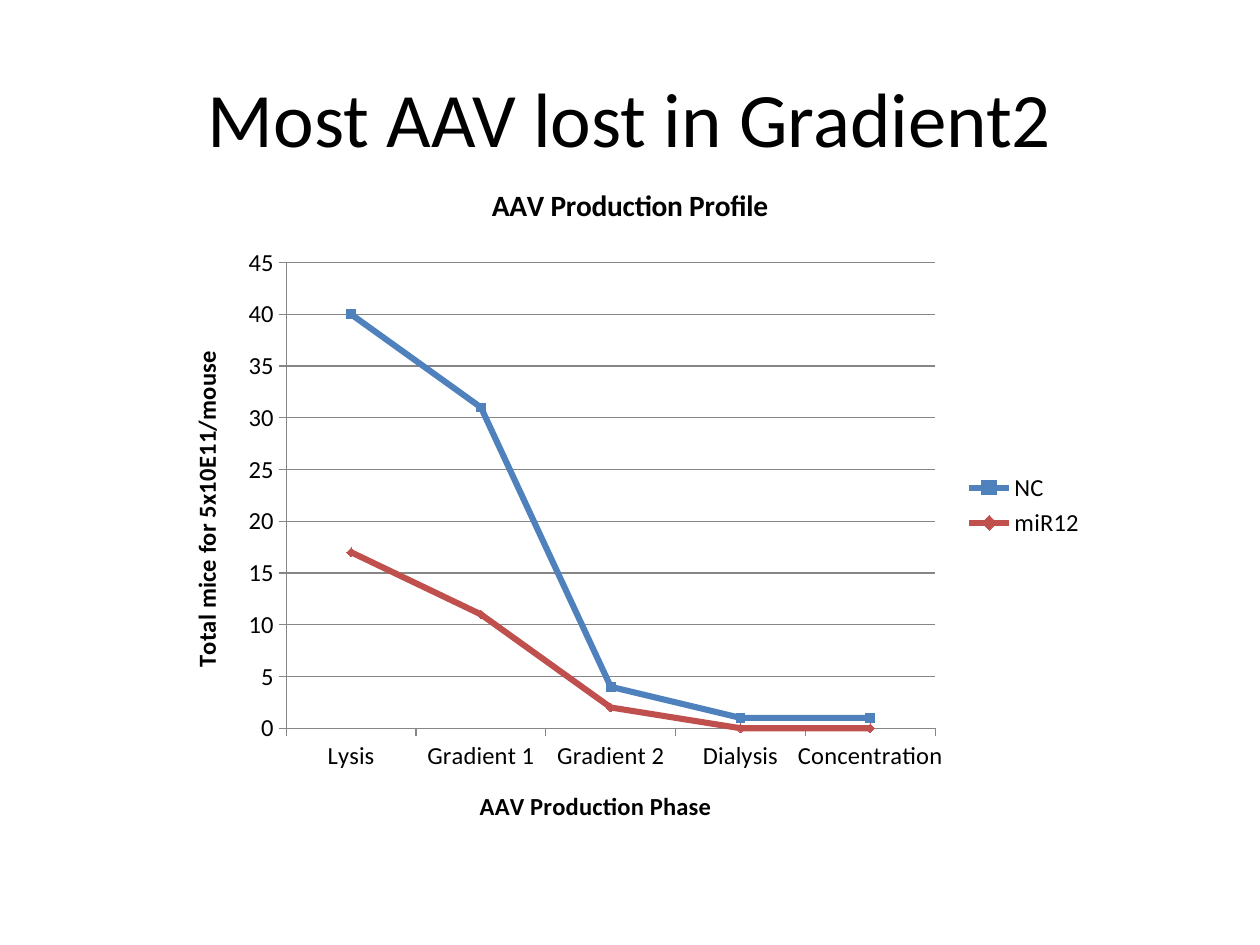
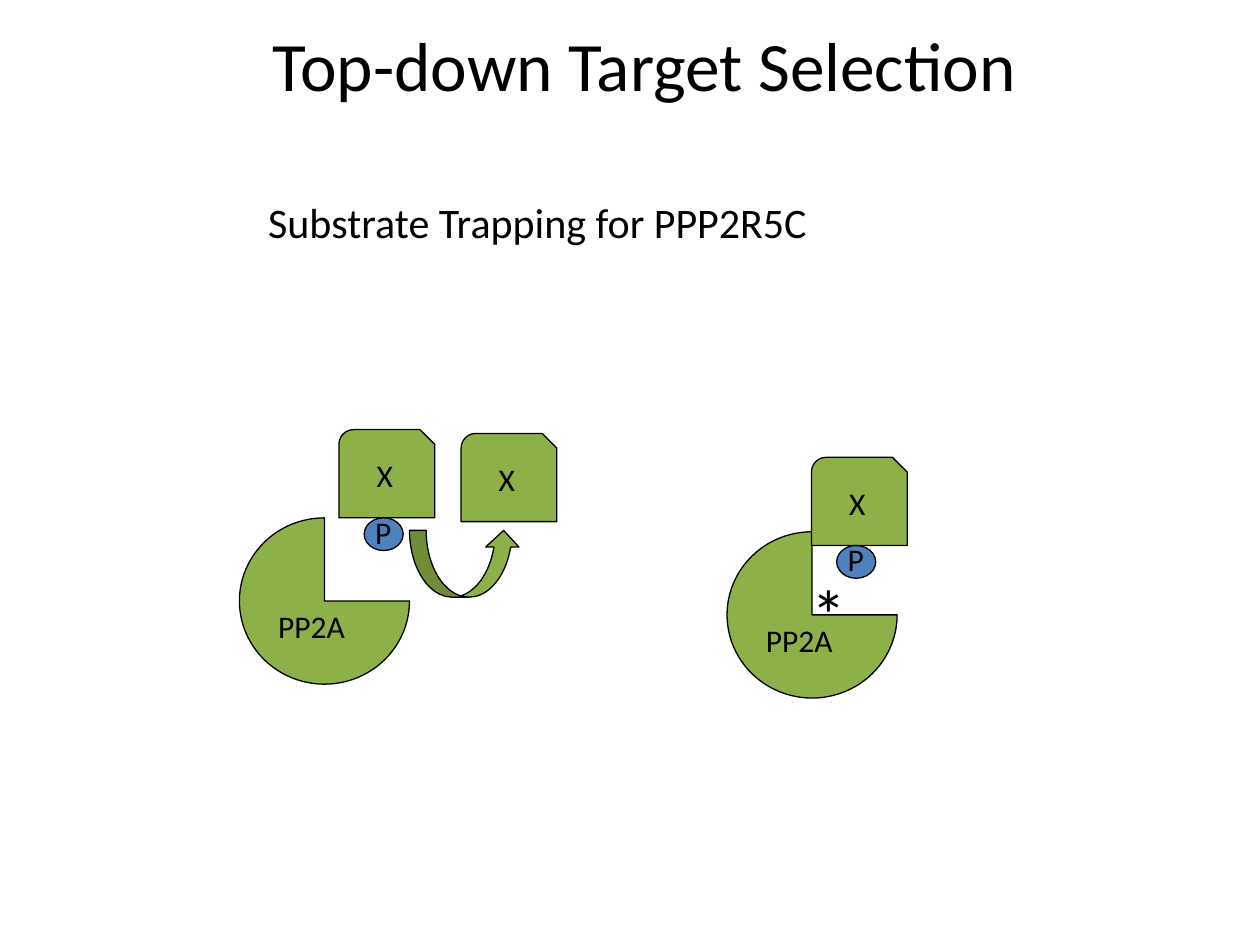
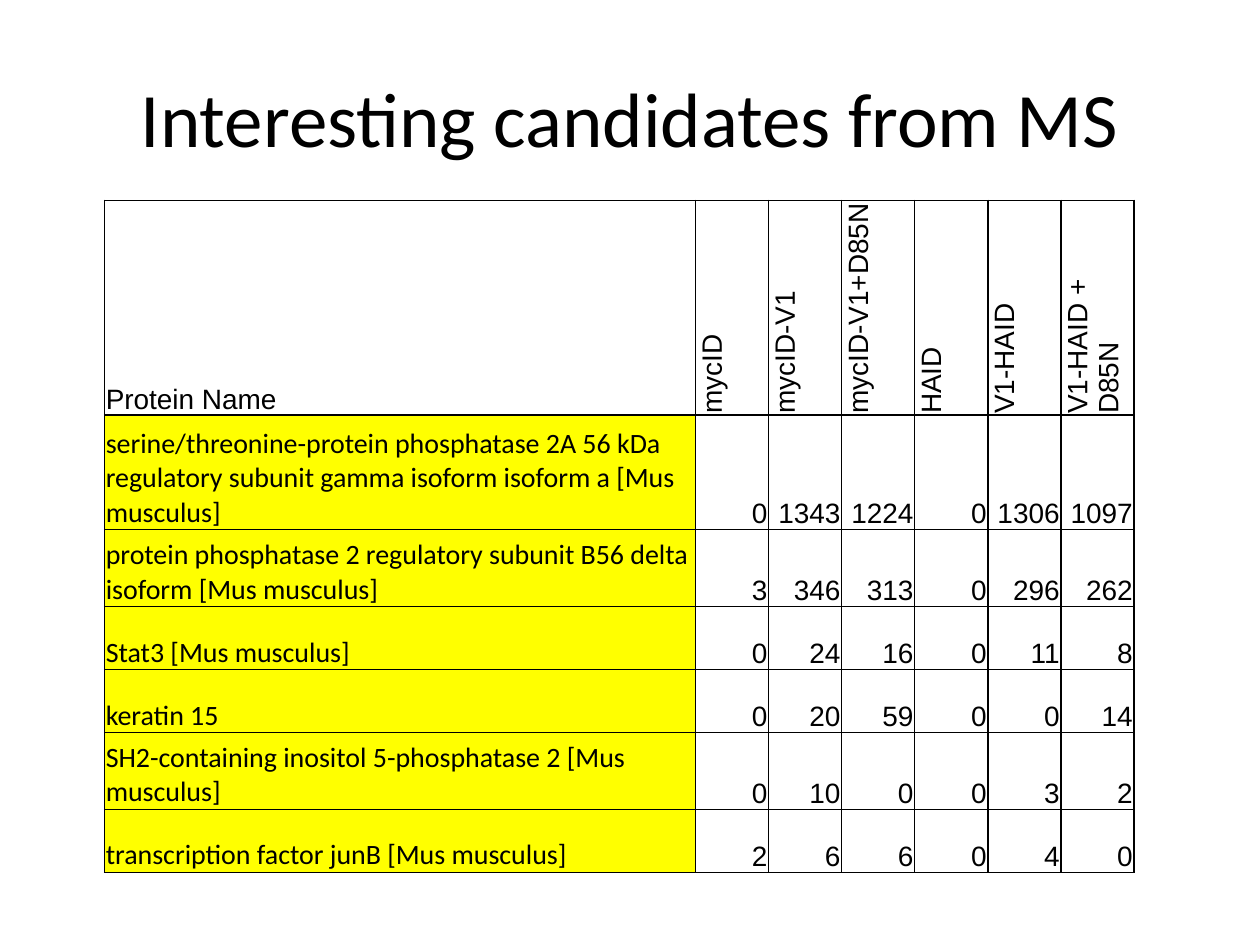
from dataclasses import dataclass

from lxml.etree import SubElement
from pptx import Presentation
from pptx.chart.data import CategoryChartData
from pptx.dml.color import RGBColor
from pptx.enum.chart import XL_CHART_TYPE as ChartType
from pptx.enum.chart import XL_LEGEND_POSITION as LegendPosition
from pptx.enum.chart import XL_MARKER_STYLE as Marker
from pptx.enum.chart import XL_TICK_MARK as Tick
from pptx.enum.shapes import MSO_SHAPE as Preset
from pptx.enum.text import MSO_ANCHOR as Anchor
from pptx.enum.text import MSO_AUTO_SIZE as AutoSize
from pptx.enum.text import PP_ALIGN as Align
from pptx.oxml.ns import qn
from pptx.util import Inches, Pt


@dataclass(frozen=True)
class Theme:
    # Fonts
    body_font: str = "Calibri"
    table_font: str = "Arial"
    # Colours
    ink: RGBColor = RGBColor(0x00, 0x00, 0x00)
    grid: RGBColor = RGBColor(0x86, 0x86, 0x86)
    blue: RGBColor = RGBColor(0x4F, 0x81, 0xBD)
    red: RGBColor = RGBColor(0xC0, 0x50, 0x4D)
    green: RGBColor = RGBColor(0x8E, 0xB0, 0x48)
    yellow: RGBColor = RGBColor(0xFF, 0xFF, 0x00)
    # Type sizes
    title: float = 44
    small_title: float = 39.6
    subtitle: float = 24
    label: float = 18
    star: float = 40
    cell: float = 16
    chart: float = 14
    chart_title: float = 16.8


THEME = Theme()
TITLE_ONLY = 5

PHASES = ["Lysis", "Gradient 1", "Gradient 2", "Dialysis", "Concentration"]
AAV_SERIES = [
    ("NC", [40, 31, 4, 1, 1], THEME.blue, Marker.SQUARE),
    ("miR12", [17, 11, 2, 0, 0], THEME.red, Marker.DIAMOND),
]

CANDIDATE_HEADER = ["Protein Name", "mycID", "mycID-V1", "mycID-V1+D85N",
                    "HAID", "V1-HAID", "V1-HAID + D85N"]
CANDIDATES = [
    ["serine/threonine-protein phosphatase 2A 56 kDa regulatory subunit "
     "gamma isoform isoform a [Mus musculus]", 0, 1343, 1224, 0, 1306, 1097],
    ["protein phosphatase 2 regulatory subunit B56 delta isoform [Mus musculus]",
     3, 346, 313, 0, 296, 262],
    ["Stat3 [Mus musculus]", 0, 24, 16, 0, 11, 8],
    ["keratin 15", 0, 20, 59, 0, 0, 14],
    ["SH2-containing inositol 5-phosphatase 2 [Mus musculus]",
     0, 10, 0, 0, 3, 2],
    ["transcription factor junB [Mus musculus]", 2, 6, 6, 0, 4, 0],
]
NAME_WIDTH, COUNT_WIDTH = 4.69, 0.58
ROW_HEIGHTS = [1.51, 0.91, 0.61, 0.5, 0.5, 0.61, 0.5]


# Text and shapes
def style_font(font, size, name=THEME.body_font, bold=None):
    font.name = name
    font.size = Pt(size)
    font.bold = bold
    font.color.rgb = THEME.ink


def add_span(para, text, size, name=THEME.body_font, bold=None):
    span = para.add_run()
    span.text = text
    style_font(span.font, size, name, bold)


def place(shape, left, top, width, height):
    shape.left, shape.top = Inches(left), Inches(top)
    shape.width, shape.height = Inches(width), Inches(height)


def add_page(deck, title, size=THEME.title, area=(0.5, 0.3, 9, 1.25)):
    page = deck.slides.add_slide(deck.slide_layouts[TITLE_ONLY])
    place(page.shapes.title, *area)
    frame = page.shapes.title.text_frame
    frame.vertical_anchor = Anchor.MIDDLE
    para = frame.paragraphs[0]
    para.alignment = Align.CENTER
    add_span(para, title, size)
    return page


def add_label(page, text, left, top, width, height, size=THEME.label, wrap=False):
    box = page.shapes.add_textbox(
        Inches(left), Inches(top), Inches(width), Inches(height))
    box.text_frame.word_wrap = wrap
    box.text_frame.auto_size = AutoSize.SHAPE_TO_FIT_TEXT
    add_span(box.text_frame.paragraphs[0], text, size)


def add_figure(page, preset, left, top, width, height, color=THEME.green):
    figure = page.shapes.add_shape(
        preset, Inches(left), Inches(top), Inches(width), Inches(height))
    figure.shadow.inherit = False
    figure.fill.solid()
    figure.fill.fore_color.rgb = color
    figure.line.color.rgb = THEME.ink
    figure.line.width = Pt(0.75)
    return figure


# Parts of the phosphatase diagram
def add_phosphatase(page, left, top):
    pie = add_figure(page, Preset.PIE, left, top, 1.35, 1.32)
    pie.adjustments[0], pie.adjustments[1] = 0, 270 * 60000 / 100000
    add_label(page, "PP2A", left + 0.21, top + 0.66, 0.85, 0.4)


def add_substrate(page, left, top):
    add_figure(page, Preset.SNIP_ROUND_RECTANGLE, left, top, 0.76, 0.7)
    add_label(page, "X", left + 0.2, top + 0.16, 0.31, 0.4, wrap=True)


def add_phosphate(page, left, top):
    add_figure(page, Preset.OVAL, left, top, 0.31, 0.26, THEME.blue)
    add_label(page, "P", left - 0.01, top - 0.09, 0.37, 0.4)


# Chart
def write_chart_title(owner, text, size):
    owner.has_title = True
    title = owner.chart_title if hasattr(owner, "chart_title") else owner.axis_title
    add_span(title.text_frame.paragraphs[0], text, size, bold=True)


def style_axis(axis, title):
    write_chart_title(axis, title, THEME.chart)
    axis.major_tick_mark = Tick.OUTSIDE
    axis.minor_tick_mark = Tick.NONE
    axis.format.line.color.rgb = THEME.grid
    style_font(axis.tick_labels.font, THEME.chart)


def add_profile_chart(page, left, top, width, height):
    data = CategoryChartData(number_format="#,##0")
    data.categories = PHASES
    for name, values, _, _ in AAV_SERIES:
        data.add_series(name, values)
    chart = page.shapes.add_chart(
        ChartType.LINE_MARKERS, Inches(left), Inches(top),
        Inches(width), Inches(height), data).chart
    style_font(chart.font, THEME.chart)
    write_chart_title(chart, "AAV Production Profile", THEME.chart_title)

    style_axis(chart.category_axis, "AAV Production Phase")
    counts = chart.value_axis
    style_axis(counts, "Total mice for 5x10E11/mouse")
    counts.minimum_scale, counts.maximum_scale, counts.major_unit = 0, 45, 5
    counts.tick_labels.number_format = "#,##0"
    counts.tick_labels.number_format_is_linked = False
    counts.has_major_gridlines = True
    counts.major_gridlines.format.line.color.rgb = THEME.grid

    chart.has_legend = True
    chart.legend.position = LegendPosition.RIGHT
    chart.legend.include_in_layout = False
    style_font(chart.legend.font, THEME.chart)

    chart.plots[0].vary_by_categories = False
    for series, (_, _, color, marker) in zip(chart.plots[0].series, AAV_SERIES):
        series.smooth = False
        series.format.line.color.rgb = color
        series.format.line.width = Pt(3.5)
        series.marker.style = marker
        series.marker.size = 5
        series.marker.format.fill.solid()
        series.marker.format.fill.fore_color.rgb = color
        series.marker.format.line.color.rgb = color


# Table
def add_borders(cell):
    properties = cell._tc.get_or_add_tcPr()
    for side in ("lnL", "lnR", "lnT", "lnB"):
        line = SubElement(properties, qn(f"a:{side}"), w=str(Pt(1)))
        fill = SubElement(line, qn("a:solidFill"))
        SubElement(fill, qn("a:srgbClr"), val=str(THEME.ink))


def fill_cell(cell, text, name=THEME.table_font, align=Align.LEFT,
              color=None, upright=False):
    add_borders(cell)
    if color is None:
        cell.fill.background()
    else:
        cell.fill.solid()
        cell.fill.fore_color.rgb = color
    cell.vertical_anchor = Anchor.BOTTOM
    cell.margin_left = cell.margin_top = cell.margin_right = Inches(0.01)
    cell.margin_bottom = 0
    if upright:
        cell._tc.get_or_add_tcPr().set("vert", "vert270")
    para = cell.text_frame.paragraphs[0]
    para.alignment = align
    add_span(para, str(text), THEME.cell, name)


def add_candidate_table(page, left, top):
    widths = [NAME_WIDTH] + [COUNT_WIDTH] * (len(CANDIDATE_HEADER) - 1)
    table = page.shapes.add_table(
        len(ROW_HEIGHTS), len(widths), Inches(left), Inches(top),
        Inches(sum(widths)), Inches(sum(ROW_HEIGHTS))).table
    table.first_row = table.horz_banding = False
    for column, width in zip(table.columns, widths):
        column.width = Inches(width)
    for row, height in zip(table.rows, ROW_HEIGHTS):
        row.height = Inches(height)

    for index, text in enumerate(CANDIDATE_HEADER):
        fill_cell(table.cell(0, index), text, upright=index > 0)
    for row, (protein, *counts) in enumerate(CANDIDATES, start=1):
        fill_cell(table.cell(row, 0), protein, THEME.body_font, color=THEME.yellow)
        for column, count in enumerate(counts, start=1):
            fill_cell(table.cell(row, column), count, align=Align.RIGHT)


# Slides
def build_profile_page(deck):
    page = add_page(deck, "Most AAV lost in Gradient2")
    add_profile_chart(page, 1.29, 1.27, 7.42, 5.48)


def build_trapping_page(deck):
    page = add_page(deck, "Top-down Target Selection", THEME.small_title,
                    (2.03, 0.22, 6.17, 0.57))
    add_label(page, "Substrate Trapping for PPP2R5C", 2.03, 1.51, 5.61, 0.5,
              THEME.subtitle, wrap=True)
    # Substrate is dephosphorylated and released
    add_phosphatase(page, 1.9, 4.11)
    add_substrate(page, 2.69, 3.41)
    add_phosphate(page, 2.89, 4.11)
    add_figure(page, Preset.CURVED_UP_ARROW, 3.25, 4.21, 0.88, 0.53)
    add_substrate(page, 3.66, 3.44)
    # Mutant phosphatase keeps its substrate
    add_phosphatase(page, 5.77, 4.22)
    add_substrate(page, 6.44, 3.63)
    add_phosphate(page, 6.64, 4.33)
    add_label(page, "*", 6.34, 4.48, 0.42, 0.77, THEME.star)


def build_candidates_page(deck):
    page = add_page(deck, "Interesting candidates from MS")
    add_candidate_table(page, 0.83, 1.59)


def main():
    deck = Presentation()
    deck.slide_width, deck.slide_height = Inches(10), Inches(7.5)
    build_profile_page(deck)
    build_trapping_page(deck)
    build_candidates_page(deck)
    deck.save("out.pptx")


if __name__ == "__main__":
    main()
